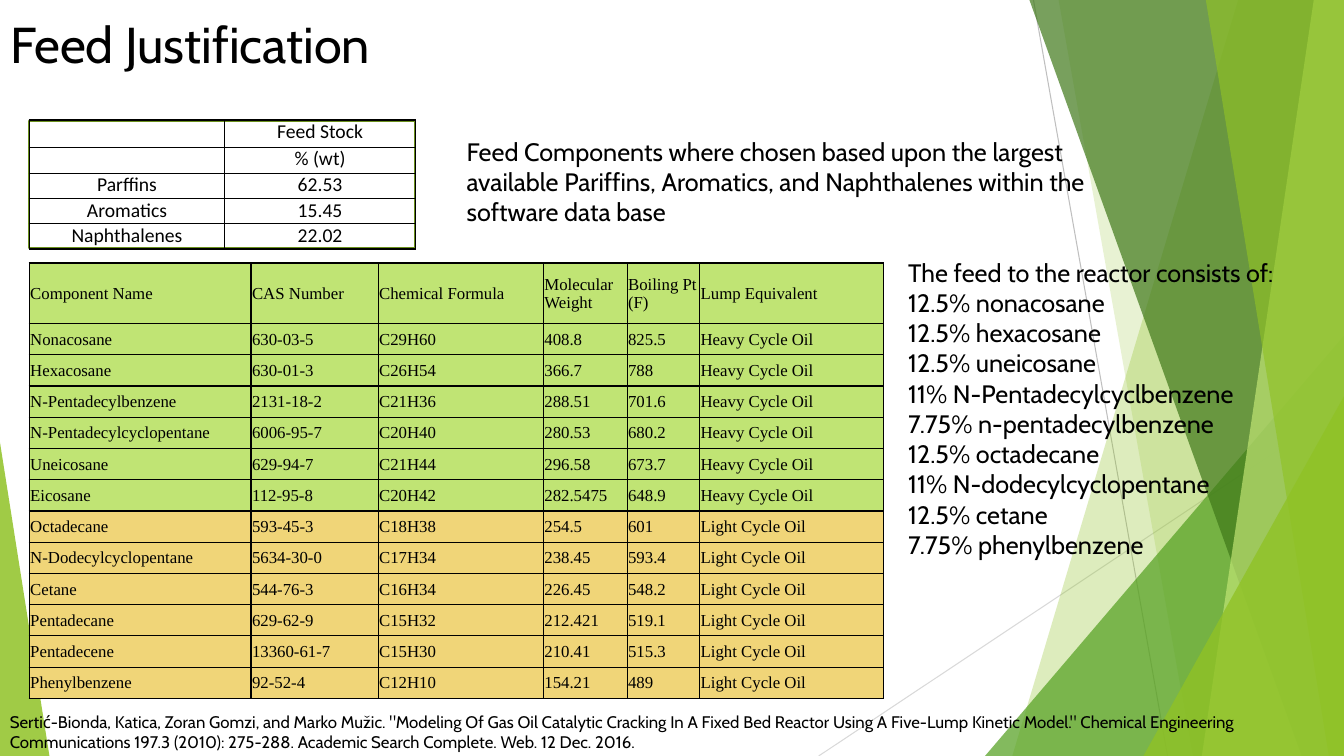
"""Builds the Feed Justification slide with its two feed tables."""
from lxml import etree
from pptx import Presentation
from pptx.dml.color import RGBColor
from pptx.enum.shapes import MSO_CONNECTOR, MSO_SHAPE
from pptx.enum.text import MSO_ANCHOR, MSO_AUTO_SIZE, PP_ALIGN
from pptx.oxml.ns import qn
from pptx.util import Inches, Pt

WIDTH, HEIGHT = 13.33, 7.5
BLACK, WHITE, LIME, PALE, GOLD = "000000", "FFFFFF", "90C226", "C0E474", "F0D578"

TITLE = "Feed Justification"
RATIONALE = ["Feed Components where chosen based upon the largest available Pariffins, "
             "Aromatics, and Naphthalenes within the software data base"]
FEED = ["The feed to the reactor consists of:", "12.5% nonacosane", "12.5% hexacosane",
        "12.5% uneicosane", "11% N-Pentadecylcyclbenzene", "7.75% n-pentadecylbenzene",
        "12.5% octadecane", "11% N-dodecylcyclopentane", "12.5% cetane",
        "7.75% phenylbenzene"]
CITATION = ['Sertić-Bionda, Katica, Zoran Gomzi, and Marko Mužic. "Modeling Of Gas Oil '
            'Catalytic Cracking In A Fixed Bed Reactor Using A Five-Lump Kinetic Model." '
            'Chemical Engineering Communications 197.3 (2010): 275-288. Academic Search '
            'Complete. Web. 12 Dec. 2016.']
STOCK = [("", "Feed Stock"), ("", "% (wt)"), ("Parffins", "62.53"),
         ("Aromatics", "15.45"), ("Naphthalenes", "22.02")]
HEADER = ("Component Name", "CAS Number", "Chemical Formula", "Molecular Weight",
          "Boiling Pt (F)", "Lump Equivalent")
HEAVY = [("Nonacosane", "630-03-5", "C29H60", "408.8", "825.5"),
         ("Hexacosane", "630-01-3", "C26H54", "366.7", "788"),
         ("N-Pentadecylbenzene", "2131-18-2", "C21H36", "288.51", "701.6"),
         ("N-Pentadecylcyclopentane", "6006-95-7", "C20H40", "280.53", "680.2"),
         ("Uneicosane", "629-94-7", "C21H44", "296.58", "673.7"),
         ("Eicosane", "112-95-8", "C20H42", "282.5475", "648.9")]
LIGHT = [("Octadecane", "593-45-3", "C18H38", "254.5", "601"),
         ("N-Dodecylcyclopentane", "5634-30-0", "C17H34", "238.45", "593.4"),
         ("Cetane", "544-76-3", "C16H34", "226.45", "548.2"),
         ("Pentadecane", "629-62-9", "C15H32", "212.421", "519.1"),
         ("Pentadecene", "13360-61-7", "C15H30", "210.41", "515.3"),
         ("Phenylbenzene", "92-52-4", "C12H10", "154.21", "489")]

RAYS = [((10.25, 0, 11.58, HEIGHT), "BFBFBF"), ((WIDTH, 4.03, 8.12, HEIGHT), "D9D9D9")]
BANDS_BACK = [(12.28, 10.04, LIME, 30), (10.5, 11.83, LIME, 20)]
BANDS_FRONT = [(10.21, 12.91, "3F7819", 70), (13.03, 11.92, PALE, 70),
               (11.96, 13.18, LIME, 65)]
PEAK_BACK = ((9.77, 3.33, 3.56, 4.17), 1, "54A021", 72)
PEAKS_FRONT = [((11.34, 3.93, 1.99, 3.57), 1, LIME, 80),
               ((0, 4.39, 0.49, 3.11), 0, LIME, 85)]

BOX_FORMAT = {"word_wrap": True, "auto_size": MSO_AUTO_SIZE.SHAPE_TO_FIT_TEXT,
              "vertical_anchor": MSO_ANCHOR.TOP}
STOCK_CELL = {"margin_left": Inches(0.07), "margin_right": Inches(0.07), "margin_top": 0,
              "margin_bottom": 0, "vertical_anchor": MSO_ANCHOR.TOP}
COMPONENT_CELL = {"margin_left": Inches(0.01), "margin_right": Inches(0.01),
                  "margin_top": Inches(0.01), "margin_bottom": 0,
                  "vertical_anchor": MSO_ANCHOR.MIDDLE}


def rgb(color):
    return RGBColor.from_string(color)


def apply(target, values):
    for name, value in values.items():
        setattr(target, name, value)


def inches(values):
    return [Inches(value) for value in values]


def paint(shape, color, opacity):
    shape.shadow.inherit = False
    shape.fill.solid()
    shape.fill.fore_color.rgb = rgb(color)
    shape.line.fill.background()
    tint = shape.fill._xPr.find(".//" + qn("a:srgbClr"))
    etree.SubElement(tint, qn("a:alpha"), val=str(opacity * 1000))


def add_ray(slide, ends, color):
    ray = slide.shapes.add_connector(MSO_CONNECTOR.STRAIGHT, *inches(ends))
    ray.line.color.rgb = rgb(color)
    ray.line.width = Pt(0.75)
    etree.SubElement(ray._element.spPr, qn("a:effectLst"))


def add_band(slide, top, bottom, color, opacity):
    corners = [(WIDTH, 0), (WIDTH, HEIGHT), (bottom, HEIGHT)]
    outline = slide.shapes.build_freeform(Inches(top), 0, 1.0)
    outline.add_line_segments([inches(corner) for corner in corners], close=True)
    paint(outline.convert_to_shape(), color, opacity)


def add_peak(slide, place, apex, color, opacity):
    peak = slide.shapes.add_shape(MSO_SHAPE.ISOSCELES_TRIANGLE, *inches(place))
    peak.adjustments[0] = apex
    paint(peak, color, opacity)


def write(paragraph, text, font, size, align=PP_ALIGN.LEFT):
    paragraph.alignment = align
    if text:
        run = paragraph.add_run()
        run.text = text
        apply(run.font, {"name": font, "size": Pt(size)})
        run.font.color.rgb = rgb(BLACK)
    else:
        paragraph._p.get_or_add_endParaRPr().set("sz", str(size * 100))


def fill_box(box, place, lines, size):
    apply(box, dict(zip(("left", "top", "width", "height"), inches(place))))
    frame = box.text_frame
    apply(frame, BOX_FORMAT)
    for index, line in enumerate(lines):
        paragraph = frame.add_paragraph() if index else frame.paragraphs[0]
        write(paragraph, line, "Cabin", size)


def add_text(slide, place, lines, size):
    fill_box(slide.shapes.add_textbox(*inches(place)), place, lines, size)


def add_borders(cell):
    properties = cell._tc.get_or_add_tcPr()
    for index, side in enumerate(("lnL", "lnR", "lnT", "lnB")):
        edge = etree.Element(qn("a:" + side), w=str(Pt(1)))
        ink = etree.SubElement(edge, qn("a:solidFill"))
        etree.SubElement(ink, qn("a:srgbClr"), val=BLACK)
        properties.insert(index, edge)


def add_grid(slide, corner, widths, heights, rows, fills, cell_format, font, size, align):
    place = inches((*corner, sum(widths), sum(heights)))
    grid = slide.shapes.add_table(len(rows), len(widths), *place).table
    apply(grid, {"first_row": False, "horz_banding": False})
    for column, width in zip(grid.columns, widths):
        column.width = Inches(width)
    for row, height, texts, color in zip(grid.rows, heights, rows, fills):
        row.height = Inches(height)
        for cell, text in zip(row.cells, texts):
            apply(cell, cell_format)
            write(cell.text_frame.paragraphs[0], text, font, size, align)
            if color:
                cell.fill.solid()
                cell.fill.fore_color.rgb = rgb(color)
            else:
                cell.fill.background()
            add_borders(cell)


def main():
    deck = Presentation()
    apply(deck, {"slide_width": Inches(WIDTH), "slide_height": Inches(HEIGHT)})
    slide = deck.slides.add_slide(deck.slide_layouts[5])

    for ray in RAYS:
        add_ray(slide, *ray)
    for band in BANDS_BACK:
        add_band(slide, *band)
    add_peak(slide, *PEAK_BACK)
    for band in BANDS_FRONT:
        add_band(slide, *band)
    for peak in PEAKS_FRONT:
        add_peak(slide, *peak)

    panel = slide.shapes.add_shape(MSO_SHAPE.RECTANGLE, *inches((0.29, 1.2, 3.83, 1.26)))
    paint(panel, WHITE, 100)
    panel.line.color.rgb = rgb("6B901C")
    panel.line.width = Pt(1.5)

    fill_box(slide.shapes.title, (0, 0.08, WIDTH, 0.71), [TITLE], 36)
    add_text(slide, (8.91, 2.5, 4.43, 3.13), FEED, 18)
    add_grid(slide, (0.29, 1.19), (1.94, 1.89), [0.27, 0.26] + [0.25] * 3, STOCK,
             [None] * len(STOCK), STOCK_CELL, "Calibri", 14, PP_ALIGN.CENTER)
    add_text(slide, (0, 7.01, WIDTH, 0.5), CITATION, 12)

    components = [HEADER]
    components += [(*row, "Heavy Cycle Oil") for row in HEAVY]
    components += [(*row, "Light Cycle Oil") for row in LIGHT]
    fills = [PALE] * (1 + len(HEAVY)) + [GOLD] * len(LIGHT)
    add_grid(slide, (0.29, 2.61), (2.2, 1.26, 1.64, 0.83, 0.72, 1.82),
             [0.6] + [0.31] * (len(components) - 1), components, fills,
             COMPONENT_CELL, "Times New Roman", 12, PP_ALIGN.LEFT)
    add_text(slide, (4.53, 1.3, 7.03, 1.01), RATIONALE, 18)
    deck.save("out.pptx")


if __name__ == "__main__":
    main()
